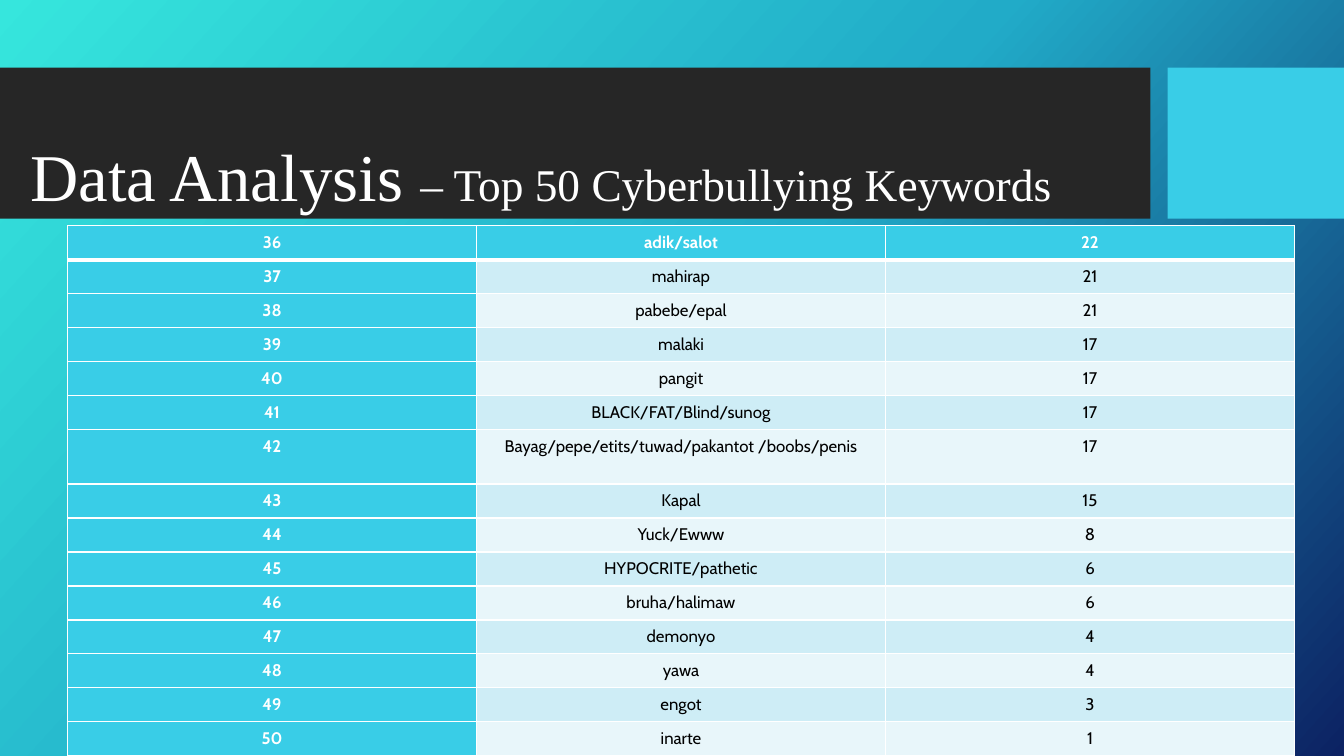
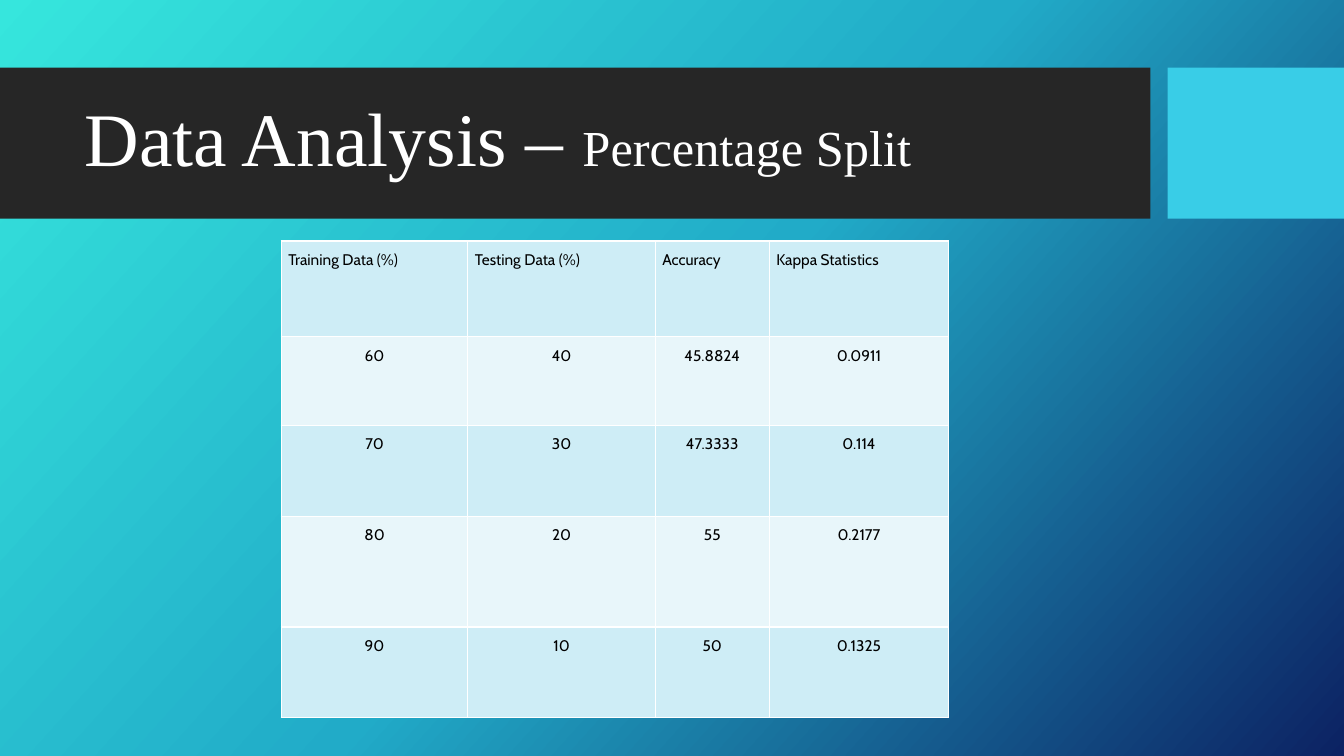
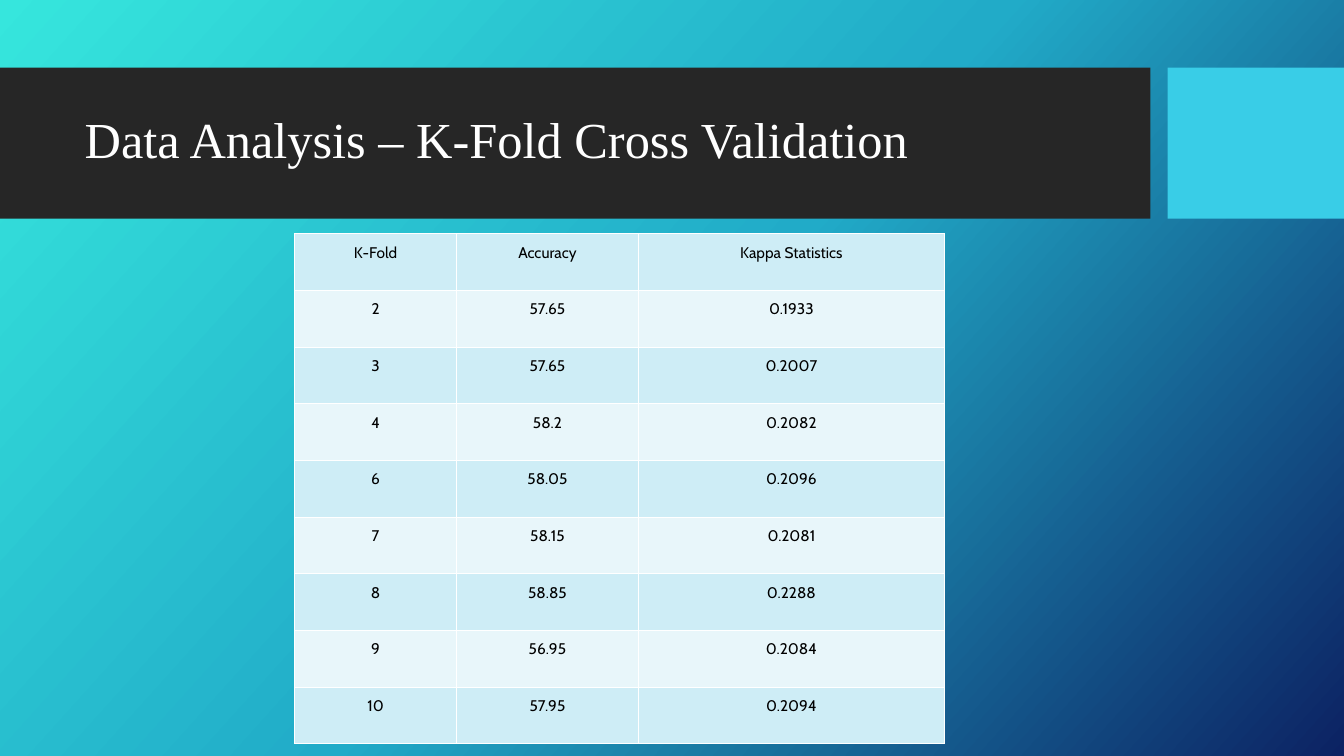
"""Build three data analysis slides: keyword counts, percentage split and k-fold results."""
from lxml.etree import SubElement
from pptx import Presentation
from pptx.dml.color import RGBColor
from pptx.enum.shapes import MSO_SHAPE as Shape
from pptx.enum.text import MSO_ANCHOR as Anchor, MSO_AUTO_SIZE as AutoSize, PP_ALIGN as Align
from pptx.oxml.ns import qn
from pptx.util import Inches, Pt

WHITE = RGBColor(0xFF, 0xFF, 0xFF)
BLACK = RGBColor(0x00, 0x00, 0x00)
CHARCOAL = RGBColor(0x26, 0x26, 0x26)
CYAN = RGBColor(0x39, 0xCD, 0xE7)
PALE = RGBColor(0xCE, 0xED, 0xF6)
PALER = RGBColor(0xE8, 0xF6, 0xFA)
GRADIENT = ((0, RGBColor(0x36, 0xE6, 0xDD)), (50, RGBColor(0x21, 0xAB, 0xC8)),
            (100, RGBColor(0x0C, 0x22, 0x63)))
GRADIENT_ANGLE = 42
TITLE_FONT = "Times New Roman"
BODY_FONT = "Cabin"
TITLE_ONLY = 5

KEYWORDS = [
    ("36", "adik/salot", "22"),
    ("37", "mahirap", "21"),
    ("38", "pabebe/epal", "21"),
    ("39", "malaki", "17"),
    ("40", "pangit", "17"),
    ("41", "BLACK/FAT/Blind/sunog", "17"),
    ("42", "Bayag/pepe/etits/tuwad/pakantot /boobs/penis", "17"),
    ("43", "Kapal", "15"),
    ("44", "Yuck/Ewww", "8"),
    ("45", "HYPOCRITE/pathetic", "6"),
    ("46", "bruha/halimaw", "6"),
    ("47", "demonyo", "4"),
    ("48", "yawa", "4"),
    ("49", "engot", "3"),
    ("50", "inarte", "1"),
]
SPLITS = [
    ("Training Data (%)", "Testing Data (%)", "Accuracy", "Kappa Statistics"),
    ("60", "40", "45.8824", "0.0911"),
    ("70", "30", "47.3333", "0.114"),
    ("80", "20", "55", "0.2177"),
    ("90", "10", "50", "0.1325"),
]
FOLDS = [
    ("K-Fold", "Accuracy", "Kappa Statistics"),
    ("2", "57.65", "0.1933"),
    ("3", "57.65", "0.2007"),
    ("4", "58.2", "0.2082"),
    ("6", "58.05", "0.2096"),
    ("7", "58.15", "0.2081"),
    ("8", "58.85", "0.2288"),
    ("9", "56.95", "0.2084"),
    ("10", "57.95", "0.2094"),
]


def write_text(frame, spans, font=BODY_FONT, color=BLACK, bold=False, align=Align.CENTER,
               line_spacing=1.0, space_after=0):
    """Write one paragraph made of (text, size) spans."""
    para = frame.paragraphs[0]
    para.alignment = align
    para.line_spacing = line_spacing
    para.space_before = Pt(0)
    para.space_after = Pt(space_after)
    for text, size in spans:
        span = para.add_run()
        span.text = text
        span.font.name = font
        span.font.size = Pt(size)
        span.font.bold = bold
        span.font.color.rgb = color


def paint_background(master):
    """Give the slide master its diagonal gradient."""
    fill = master.background.fill
    fill.gradient()
    fill.gradient_angle = 360 - GRADIENT_ANGLE
    stops = next(master.element.iter(qn("a:gsLst")))
    for stop in list(stops):
        stops.remove(stop)
    for percent, color in GRADIENT:
        stop = SubElement(stops, qn("a:gs"), pos=str(percent * 1000))
        SubElement(stop, qn("a:srgbClr"), val=str(color))


def add_band(page, left, width, color):
    """Draw one block of the title band and return it."""
    band = page.shapes.add_shape(Shape.RECTANGLE, Inches(left), Inches(0.67),
                                 Inches(width), Inches(1.5))
    band.shadow.inherit = False
    band.fill.solid()
    band.fill.fore_color.rgb = color
    band.line.fill.background()
    return band


def add_layout_bands(layout, page):
    """Place the title band on the layout, behind its title."""
    for holder in list(layout.placeholders):
        if holder.placeholder_format.idx != 0:
            holder.element.getparent().remove(holder.element)
    title = layout.placeholders[0].element
    for left, width, color in ((0, 11.41, CHARCOAL), (11.58, 1.75, CYAN)):
        title.addprevious(add_band(page, left, width, color).element)


def set_title(page, spans, left=0.74, top=0.82):
    """Place and fill the title placeholder."""
    title = page.shapes.title
    title.left, title.top = Inches(left), Inches(top)
    title.width, title.height = Inches(10.51), Inches(1.18)
    frame = title.text_frame
    frame.word_wrap = True
    frame.auto_size = AutoSize.NONE
    frame.vertical_anchor = Anchor.MIDDLE
    write_text(frame, spans, font=TITLE_FONT, color=WHITE, align=Align.LEFT, line_spacing=0.9)


def set_borders(cell, top=1, bottom=1):
    """Draw white borders around a cell, with widths in points."""
    properties = cell._tc.get_or_add_tcPr()
    for side, width in (("L", 1), ("R", 1), ("T", top), ("B", bottom)):
        line = SubElement(properties, qn(f"a:ln{side}"), w=str(Pt(width)))
        fill = SubElement(line, qn("a:solidFill"))
        SubElement(fill, qn("a:srgbClr"), val=str(WHITE))


def add_grid(page, rows, left, top, widths, heights, size=11, margins=(0.07, 0),
             line_spacing=1.5, space_after=8, header_align=Align.CENTER, accent=False):
    """Add a banded table; accent colours its first row and first column."""
    table = page.shapes.add_table(len(rows), len(widths), Inches(left), Inches(top),
                                  Inches(sum(widths)), Inches(sum(heights))).table
    table.first_row = table.horz_banding = False
    for column, width in zip(table.columns, widths):
        column.width = Inches(width)
    for r, (values, height) in enumerate(zip(rows, heights)):
        table.rows[r].height = Inches(height)
        for c, value in enumerate(values):
            cell = table.cell(r, c)
            strong = accent and (r == 0 or c == 0)
            cell.margin_left = cell.margin_right = Inches(margins[0])
            cell.margin_top = cell.margin_bottom = Inches(margins[1])
            set_borders(cell, top=3 if accent and r == 1 else 1,
                        bottom=3 if accent and r == 0 else 1)
            cell.fill.solid()
            band = PALE if r % 2 == accent else PALER
            cell.fill.fore_color.rgb = CYAN if strong else band
            write_text(cell.text_frame, [(value, size)], color=WHITE if strong else BLACK,
                       bold=strong, align=header_align if r == 0 else Align.CENTER,
                       line_spacing=line_spacing, space_after=space_after)


def main():
    """Build and save the deck."""
    deck = Presentation()
    deck.slide_width, deck.slide_height = Inches(13.33), Inches(7.5)
    paint_background(deck.slide_master)
    layout = deck.slide_layouts[TITLE_ONLY]
    keywords, split, folds = [deck.slides.add_slide(layout) for _ in range(3)]
    add_layout_bands(layout, keywords)

    set_title(keywords, [("Data Analysis ", 47.7), ("– Top 50 Cyberbullying Keywords", 32.4)],
              left=0.2, top=1.19)
    tall = 0.54
    plain = (5.26 - tall) / (len(KEYWORDS) - 1)
    heights = [tall if row[0] == "42" else plain for row in KEYWORDS]
    add_grid(keywords, KEYWORDS, 0.67, 2.24, [12.17 / 3] * 3, heights, size=12,
             margins=(0.05, 0.05), line_spacing=1.07, space_after=0, accent=True)

    set_title(split, [("Data Analysis – ", 54), ("Percentage Split", 36)])
    add_grid(split, SPLITS, 2.79, 2.39, [1.85, 1.86, 1.13, 1.78],
             [0.95, 0.88, 0.9, 1.1, 0.9], header_align=Align.LEFT)

    set_title(folds, [("Data Analysis – K-Fold Cross Validation", 36)])
    add_grid(folds, FOLDS, 2.92, 2.32, [1.61, 1.8, 3.04], [5.06 / len(FOLDS)] * len(FOLDS))

    deck.save("out.pptx")


if __name__ == "__main__":
    main()
